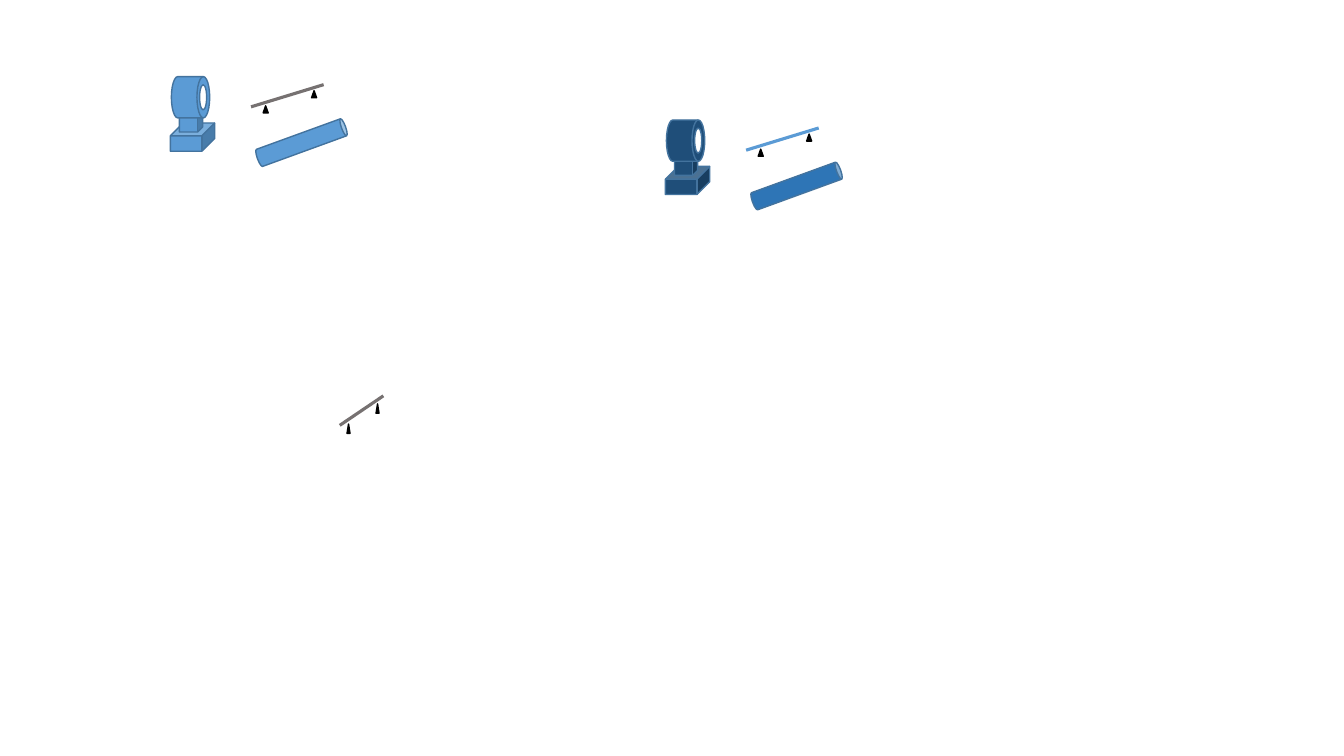
from dataclasses import dataclass

import pptx
import pptx.dml.color
import pptx.enum.shapes
import pptx.util
from pptx.util import Inches
from lxml import etree

SHAPE = pptx.enum.shapes.MSO_SHAPE


@dataclass(frozen=True)
class Theme:
    blue: str = "5B9BD5"
    mid_blue: str = "2E75B6"
    navy: str = "1F4E79"
    outline: str = "43739E"
    grey: str = "767171"
    white: str = "FFFFFF"
    black: str = "000000"
    thin: float = 1
    thick: float = 2.25


THEME = Theme()


def rgb(value):
    return pptx.dml.color.RGBColor.from_string(value)


def set_line(sp, color, width):
    sp.line.color.rgb = rgb(color)
    sp.line.width = pptx.util.Pt(width)


def add_solid(shapes, kind, box, fill, line=THEME.outline, adj=None, **formats):
    sp = shapes.add_shape(kind, *map(Inches, box))
    sp.shadow.inherit = False
    sp.fill.solid()
    sp.fill.fore_color.rgb = rgb(fill)
    set_line(sp, line, THEME.thin)
    if adj is not None:
        sp.adjustments[0] = adj
    for name, value in formats.items():
        setattr(sp, name, value)
    return sp


def add_line(shapes, start, end, color):
    cx = shapes.add_connector(pptx.enum.shapes.MSO_CONNECTOR.STRAIGHT,
                              *map(Inches, (*start, *end)))
    set_line(cx, color, THEME.thick)
    sp_pr = cx._element.spPr
    etree.SubElement(sp_pr, pptx.oxml.ns.qn("a:effectLst"))


def add_ring_stand(s, x, y, fill):
    """Drum with a round opening, on a post and a base."""
    shapes = s.shapes.add_group_shape().shapes
    add_solid(shapes, SHAPE.CUBE, (x, y + 0.46, 0.44, 0.28), fill, adj=0.456)
    add_solid(shapes, SHAPE.CUBE, (x + 0.09, y + 0.35, 0.23, 0.2), fill)
    add_solid(shapes, SHAPE.FLOWCHART_DIRECT_ACCESS_STORAGE,
              (x + 0.01, y, 0.38, 0.41), fill)
    add_solid(shapes, SHAPE.OVAL, (x + 0.29, y + 0.08, 0.07, 0.25), THEME.white)


def add_beam(s, x, y, color, sx=1, sy=1):
    """Sloping beam on two supports, stretched by sx and sy."""
    shapes = s.shapes.add_group_shape().shapes
    add_line(shapes, (x, y), (x + 0.72 * sx, y - 0.22 * sy), color)
    for dx, dy in ((0.12, -0.01), (0.6, -0.16)):
        add_solid(shapes, SHAPE.ISOSCELES_TRIANGLE,
                  (x + dx * sx, y + dy * sy, 0.05 * sx, 0.07 * sy),
                  THEME.black, THEME.black)


def add_rod(s, x, y, fill):
    add_solid(s.shapes, SHAPE.CAN, (x, y, 0.18, 0.93), fill, adj=0.232, rotation=70)


def main():
    prs = pptx.Presentation()
    prs.slide_width, prs.slide_height = Inches(13.33), Inches(7.5)
    s = prs.slides.add_slide(prs.slide_layouts[6])

    # Light set
    add_ring_stand(s, 1.69, 0.76, THEME.blue)
    add_beam(s, 2.49, 1.06, THEME.grey)
    add_rod(s, 2.9, 0.95, THEME.blue)

    # Steep single beam
    add_beam(s, 3.37, 4.22, THEME.grey, sx=0.6, sy=1.33)

    # Dark set
    add_ring_stand(s, 6.6, 1.19, THEME.navy)
    add_beam(s, 7.4, 1.49, THEME.blue)
    add_rod(s, 7.81, 1.38, THEME.mid_blue)

    prs.save("out.pptx")


if __name__ == "__main__":
    main()
